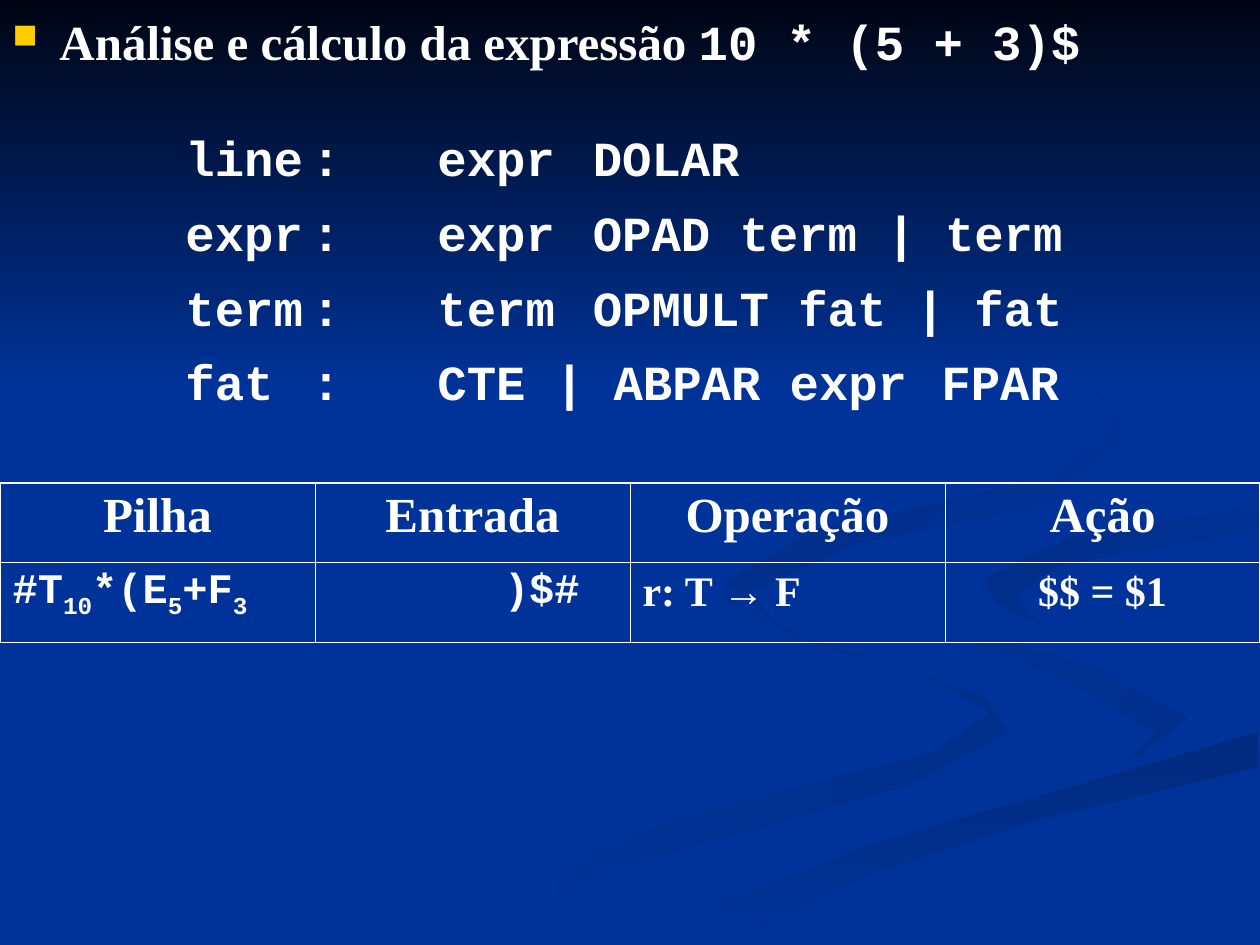
"""Build the slide on parsing and evaluating the expression 10 * (5 + 3)$."""
from lxml.etree import SubElement
from pptx import Presentation
from pptx.dml.color import RGBColor as Rgb
from pptx.enum.shapes import MSO_SHAPE as Preset
from pptx.enum.text import PP_ALIGN as Align
from pptx.oxml import parse_xml
from pptx.oxml.ns import qn
from pptx.util import Cm, Pt

COLOURS = {
    "blue": "003399", "night": "000514", "white": "FFFFFF", "bullet": "FFCC00",
    "light": "002E8B", "soft": "002D86", "deep": "002B82", "dark": "002A7D",
}
SERIF, MONO = "Times New Roman", "Courier New"
NS = 'xmlns:a="http://schemas.openxmlformats.org/drawingml/2006/main"'


def add_run(paragraph, text, size, face, baseline=0):
    run = paragraph.add_run()
    run.text = text
    run.font.size, run.font.name, run.font.bold = Pt(size), face, True
    run.font.color.rgb = Rgb.from_string(COLOURS["white"])
    if baseline:
        run._r.get_or_add_rPr().set("baseline", str(baseline * 1000))


def shade(shape, start, end, angle):
    shape.shadow.inherit = False
    shape.line.fill.background()
    shape.fill.gradient()
    shape.fill.gradient_angle = -angle % 360
    for stop, colour in zip(shape.fill.gradient_stops, (start, end)):
        stop.color.rgb = Rgb.from_string(COLOURS[colour])


deck = Presentation()
deck.slide_width, deck.slide_height = Cm(25.4), Cm(19.05)
slide = deck.slides.add_slide(deck.slide_layouts[6])
slide.background.fill.solid()
slide.background.fill.fore_color.rgb = Rgb.from_string(COLOURS["blue"])

swirls = [
    ("blue", "light", 0, [
        (575, 459), (572, 476), (631, 505), (741, 539), (786, 566), (739, 598),
        (539, 649), (300, 749), (361, 749), (499, 687), (721, 623), (800, 581),
        (781, 553), (642, 507), (583, 477)]),
    ("blue", "light", 45, [
        (724, 464), (746, 500), (838, 536), (918, 581), (894, 605), (943, 570),
        (870, 530), (758, 498)]),
    ("dark", "blue", 90, [
        (503, 749), (571, 749), (695, 692), (821, 651), (998, 609), (998, 581),
        (867, 620), (696, 669), (569, 719)]),
    ("soft", "blue", 45, [
        (781, 460), (791, 478), (826, 496), (805, 472), (843, 448), (998, 420),
        (998, 402), (849, 427)]),
    ("deep", "blue", 45, [
        (683, 430), (825, 402), (894, 344), (843, 275), (762, 233), (846, 279),
        (889, 335), (842, 378), (649, 420), (577, 462), (622, 500), (593, 470)]),
]
for start, end, angle, outline in swirls:
    builder = slide.shapes.build_freeform(*outline[0], scale=Cm(2.54) / 100)
    builder.add_line_segments(outline[1:], close=True)
    shade(builder.convert_to_shape(), start, end, angle)

night_sky = slide.shapes.add_shape(Preset.RECTANGLE, 0, 0, deck.slide_width, Cm(7.82))
shade(night_sky, "night", "blue", 90)

headers = ["Pilha", "Entrada", "Operação", "Ação"]
step = [
    [("#T", 0), ("10", -25), ("*(E", 0), ("5", -25), ("+F", 0), ("3", -25)],
    [(")$#", 0)], [("r: T → F", 0)], [("$$ = $1", 0)],
]
trace = slide.shapes.add_table(2, 4, 0, Cm(9.73), deck.slide_width, Cm(3.22)).table
for column, (header, parts) in enumerate(zip(headers, step)):
    for row in range(2):
        cell = trace.cell(row, column)
        cell.fill.background()
        paragraph = cell.text_frame.paragraphs[0]
        if row == 0:
            paragraph.space_before = Pt(7)
            add_run(paragraph, header, 28, SERIF)
        else:
            paragraph.space_before = Pt(6)
            for text, baseline in parts:
                add_run(paragraph, text, 24, MONO if column < 2 else SERIF, baseline)
        centred = row == 0 or column == 3
        paragraph.alignment = Align.CENTER if centred else Align.LEFT
        outer = {"L": column == 0, "R": column == 3, "T": row == 0, "B": row == 1}
        for position, (side, is_outer) in enumerate(outer.items()):
            width = Pt(1.08 if is_outer else 0.45)
            cell._tc.get_or_add_tcPr().insert(position, parse_xml(
                f'<a:ln{side} {NS} w="{width}"><a:solidFill>'
                f'<a:srgbClr val="{COLOURS["white"]}"/></a:solidFill></a:ln{side}>'))
trace.cell(1, 1).margin_left = Cm(3.81)

grammar = slide.shapes.add_textbox(0, 0, deck.slide_width, Cm(9.53)).text_frame
grammar.word_wrap = True
grammar.margin_top = Cm(0.23)
title = grammar.paragraphs[0]
add_run(title, "Análise e cálculo da expressão ", 28, SERIF)
add_run(title, "10 * (5 + 3)$", 28, MONO)
title_format = title._p.get_or_add_pPr()
title_format.set("marL", str(Cm(0.95)))
title_format.set("indent", str(Cm(-0.95)))
bullet_colour = SubElement(title_format, qn("a:buClr"))
SubElement(bullet_colour, qn("a:srgbClr"), val=COLOURS["bullet"])
SubElement(title_format, qn("a:buSzPct"), val="70000")
SubElement(title_format, qn("a:buChar"), char="■")

rules = [
    "\t\tline\t:\texpr\t DOLAR",
    "\t\texpr\t:\texpr\t OPAD term | term",
    "\t\tterm\t:\tterm\t OPMULT fat | fat",
    "\t\tfat\t:\tCTE | ABPAR expr\tFPAR",
]
for number, rule in enumerate(rules):
    paragraph = grammar.add_paragraph()
    paragraph.space_before = Pt(9 if number else 33)
    add_run(paragraph, rule, 28, MONO)
    tabs = SubElement(paragraph._p.get_or_add_pPr(), qn("a:tabLst"))
    for inch in range(8):
        SubElement(tabs, qn("a:tab"), pos=str(Cm(0.95 + 2.54 * inch)), algn="l")

deck.save("out.pptx")
